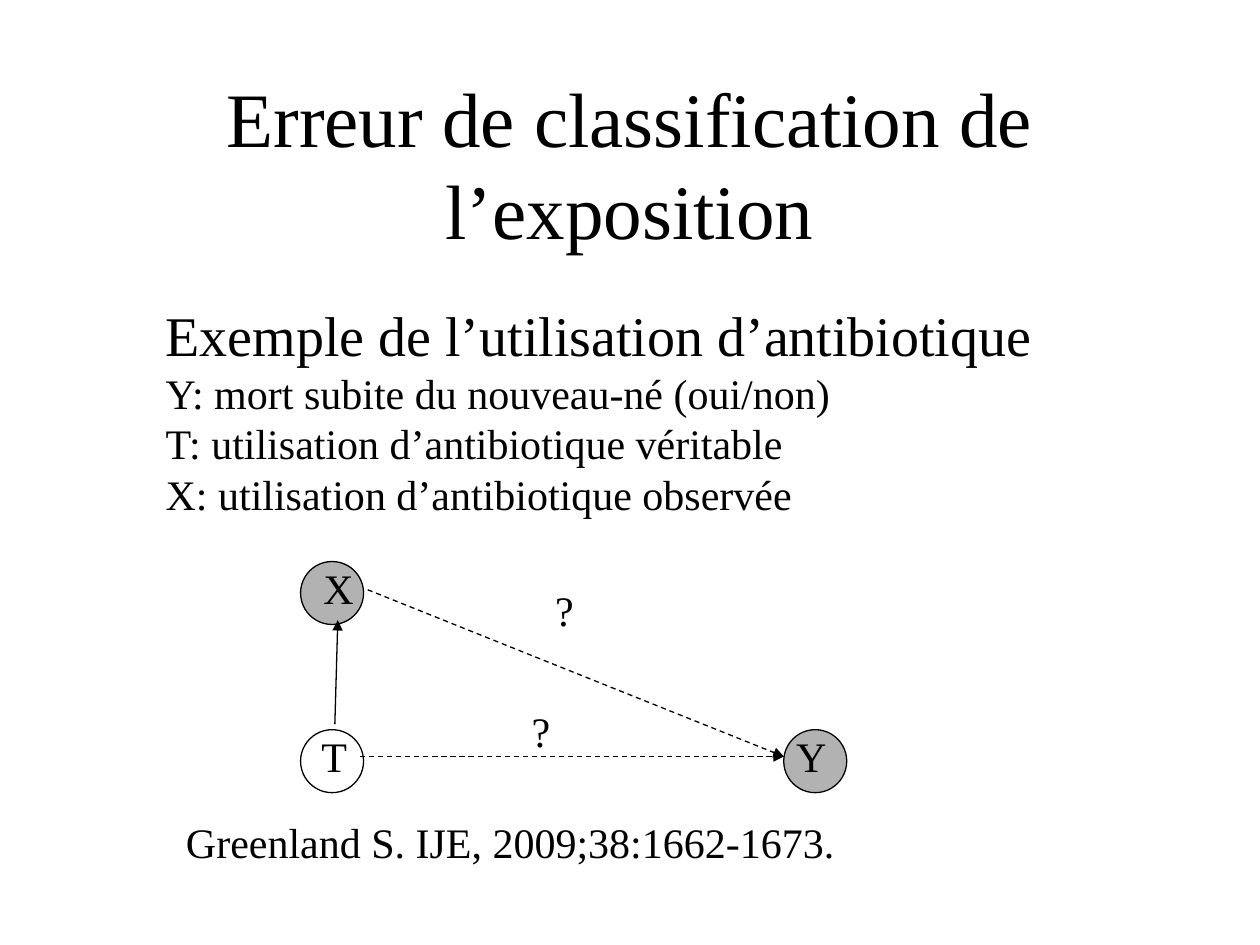
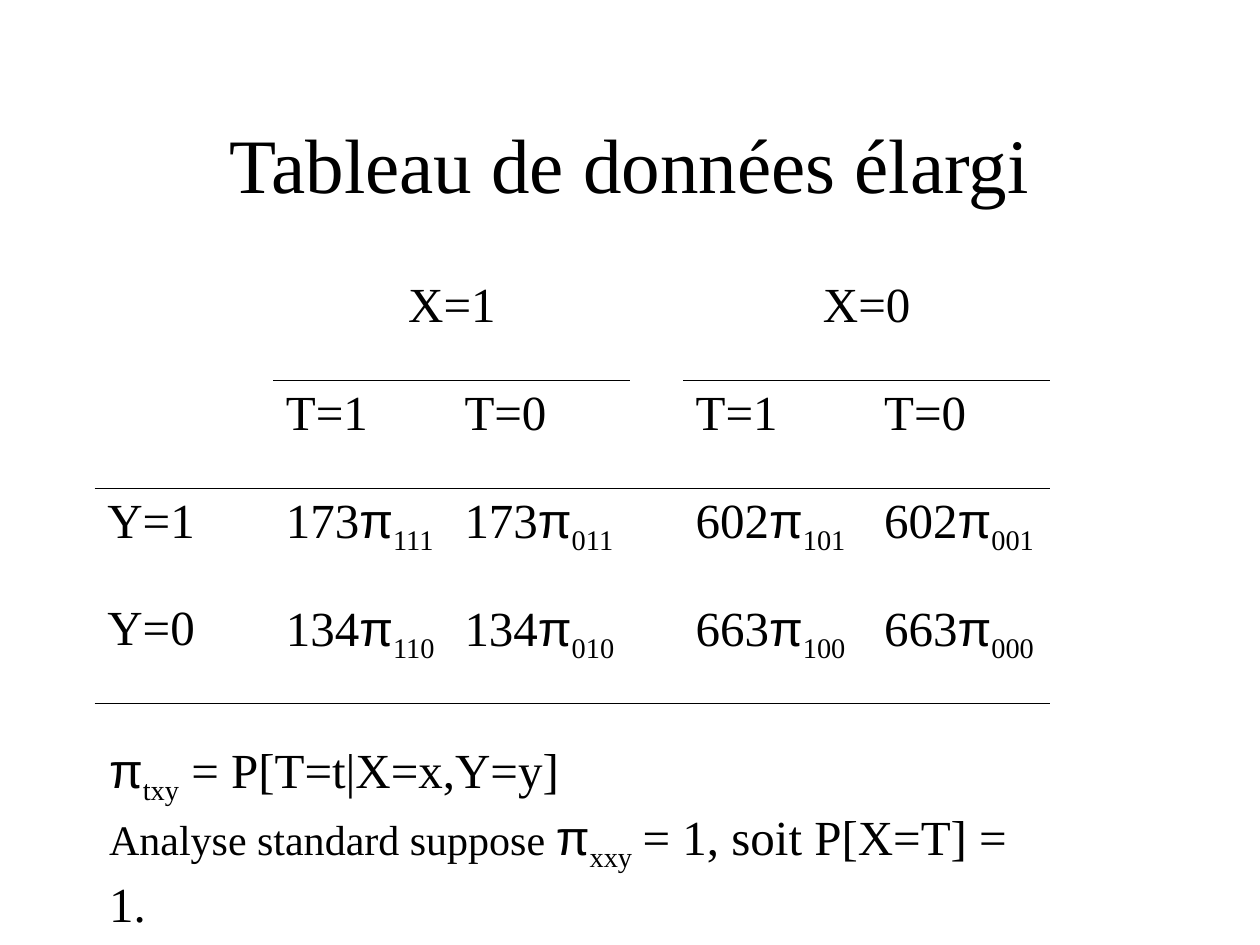
from lxml import etree
from pptx import Presentation
from pptx.dml.color import RGBColor
from pptx.enum.dml import MSO_LINE
from pptx.enum.shapes import MSO_CONNECTOR, MSO_SHAPE
from pptx.enum.text import MSO_ANCHOR, MSO_AUTO_SIZE, PP_ALIGN
from pptx.oxml import parse_xml
from pptx.oxml.ns import nsdecls, qn
from pptx.util import Cm, Pt

CENTER, MIDDLE = PP_ALIGN.CENTER, MSO_ANCHOR.MIDDLE
NO_AUTOFIT = MSO_AUTO_SIZE.NONE
CIRCLE, STRAIGHT, DASH = MSO_SHAPE.FLOWCHART_CONNECTOR, MSO_CONNECTOR.STRAIGHT, MSO_LINE.DASH

COLORS = {"ink": "000000", "observed": "B2B2B2"}
FONT, SYMBOL_FONT = "Times New Roman", "Arial"
TITLE_BOX = (1.9, 1.7, 21.59, 3.17)
PLAIN_TABLE = "{2D5ABB26-0587-4C30-8999-92F81FD0307C}"

# Slide 1: paragraphs are lists of runs (text, size, subscript)
ERROR_TITLE = "Erreur de classification de l’exposition"
EXAMPLE = [
    [("Exemple de l’utilisation d’antibiotique", 32, False)],
    [("Y: mort subite du nouveau-né (oui/non)", 24, False)],
    [("T: utilisation d’antibiotique véritable", 24, False)],
    [("X: utilisation d’antibiotique observée", 24, False)],
]
REFERENCE = [[("Greenland S. IJE, 2009;38:1662-1673.", 24, False)]]
NODE_SIZE = 1.27
NODES = [  # name, left, top, label offset, label width, fill
    ("T", 6.06, 14.71, 0.17, 1.02, None),
    ("Y", 15.8, 14.71, 0, 1.12, "observed"),
    ("X", 6.06, 11.32, 0.21, 1.07, "observed"),
]
EDGES = [  # start, end, arrowhead, dashed
    ((7.26, 15.25), (15.8, 15.25), "tailEnd", True),
    ((6.75, 14.6), (6.81, 12.5), "tailEnd", False),
    ((15.8, 15.25), (7.34, 11.86), "headEnd", True),
]
QUESTION_MARKS = [(10.47, 14.1), (10.94, 11.66)]

# Slide 2
TABLE_TITLE = "Tableau de données élargi"
TABLE_ROWS = [
    ["", "X=1", "", "", "X=0", ""],
    ["", "T=1", "T=0", "", "T=1", "T=0"],
    ["Y=1", "173π111", "173π011", "", "602π101", "602π001"],
    ["Y=0", "134π110", "134π010", "", "663π100", "663π000"],
]
COLUMN_WIDTHS = [3.6, 3.6, 3.6, 1.06, 3.8, 3.6]
ROW_HEIGHT = 2.17
RULES = {  # columns ruled below each row
    0: (1, 2, 4, 5),
    1: range(6),
    2: (),
    3: range(6),
}
FORMULAS = [
    [("π", 28, False), ("txy", 28, True), (" = P[T=t|X=x,Y=y]", 28, False)],
    [("Analyse standard suppose ", 24, False), ("π", 28, False),
     ("xxy", 28, True), (" ", 24, False), ("= 1, soit P[X=T] = 1.", 28, False)],
]


def color(name):
    return RGBColor.from_string(COLORS[name])


def format_run(r, size, subscript=False):
    r.font.size = Pt(size)
    r.font.name = SYMBOL_FONT if r.text == "π" else FONT
    r.font.color.rgb = color("ink")
    if subscript:
        r._r.get_or_add_rPr().set("baseline", "-25000")


def add_runs(p, runs):
    for text, size, subscript in runs:
        r = p.add_run()
        r.text = text
        format_run(r, size, subscript)


def add_text(shapes, paragraphs, left, top, width, height, wrap=False):
    tf = shapes.add_textbox(Cm(left), Cm(top), Cm(width), Cm(height)).text_frame
    tf.word_wrap = wrap
    for i, runs in enumerate(paragraphs):
        add_runs(tf.add_paragraph() if i else tf.paragraphs[0], runs)


def add_titled_slide(prs, title):
    s = prs.slides.add_slide(prs.slide_layouts[5])
    sp = s.shapes.title
    sp.left, sp.top, sp.width, sp.height = map(Cm, TITLE_BOX)
    tf = sp.text_frame
    tf.text = title
    tf.word_wrap, tf.auto_size, tf.vertical_anchor = True, NO_AUTOFIT, MIDDLE
    tf.paragraphs[0].alignment = CENTER
    format_run(tf.paragraphs[0].runs[0], 44)
    return s


def add_node(shapes, name, left, top, offset, label_width, fill):
    sp = shapes.add_shape(CIRCLE, Cm(left), Cm(top), Cm(NODE_SIZE), Cm(NODE_SIZE))
    sp.shadow.inherit = False
    sp.line.color.rgb, sp.line.width = color("ink"), Pt(0.75)
    if fill:
        sp.fill.solid()
        sp.fill.fore_color.rgb = color(fill)
    else:
        sp.fill.background()
    add_text(shapes, [[(name, 24, False)]], left + offset, top - 0.1, label_width, 1.27)


def add_arrow(shapes, start, end, arrowhead, dashed):
    line = shapes.add_connector(STRAIGHT, *map(Cm, start + end))
    line.line.color.rgb, line.line.width = color("ink"), Pt(0.75)
    if dashed:
        line.line.dash_style = DASH
    etree.SubElement(line.line._get_or_add_ln(), qn(f"a:{arrowhead}"), type="triangle")
    etree.SubElement(line._element.spPr, qn("a:effectLst"))


def set_border(cell, side, ruled):
    fill = (f'<a:solidFill><a:srgbClr val="{COLORS["ink"]}"/></a:solidFill>'
            if ruled else "<a:noFill/>")
    ln = parse_xml(f'<a:{side} {nsdecls("a")} w="{Pt(0.45)}">{fill}</a:{side}>')
    cell._tc.get_or_add_tcPr().insert(0, ln)


def add_data_table(s):
    frame = s.shapes.add_table(
        len(TABLE_ROWS), len(COLUMN_WIDTHS), Cm(1.91), Cm(5.5),
        Cm(sum(COLUMN_WIDTHS)), Cm(ROW_HEIGHT * len(TABLE_ROWS)))
    table = frame.table
    table.first_row = table.horz_banding = False
    table._tbl.tblPr.find(qn("a:tableStyleId")).text = PLAIN_TABLE
    for column, width in zip(table.columns, COLUMN_WIDTHS):
        column.width = Cm(width)
    for i, values in enumerate(TABLE_ROWS):
        table.rows[i].height = Cm(ROW_HEIGHT)
        for j, value in enumerate(values):
            cell = table.cell(i, j)
            cell.fill.background()
            set_border(cell, "lnB", j in RULES[i])
            set_border(cell, "lnT", i > 0 and j in RULES[i - 1])
            p = cell.text_frame.paragraphs[0]
            count, pi, index = value.partition("π")
            runs = [(count, 28, False), (pi, 28, False), (index, 28, True)]
            add_runs(p, [run for run in runs if run[0]])
            if value:
                p.space_before = Pt(7)
            if i == 0:
                p.alignment = CENTER
    for j in (1, 4):
        table.cell(0, j).merge(table.cell(0, j + 1))


def main():
    prs = Presentation()
    prs.slide_width, prs.slide_height = Cm(25.4), Cm(19.05)

    # Exposure error and its causal diagram
    s = add_titled_slide(prs, ERROR_TITLE)
    add_text(s.shapes, EXAMPLE, 3.09, 5.93, 18.2, 4.67, wrap=True)
    diagram = s.shapes.add_group_shape().shapes
    for node in NODES:
        add_node(diagram, *node)
    for edge in EDGES:
        add_arrow(diagram, *edge)
    for left, top in QUESTION_MARKS:
        add_text(diagram, [[("?", 24, False)]], left, top, 0.89, 1.27)
    add_text(s.shapes, REFERENCE, 3.5, 16.33, 13.79, 1.27)

    # Expanded data table
    s = add_titled_slide(prs, TABLE_TITLE)
    add_data_table(s)
    add_text(s.shapes, FORMULAS, 1.95, 14.78, 19.46, 2.95, wrap=True)

    prs.save("out.pptx")


if __name__ == "__main__":
    main()
